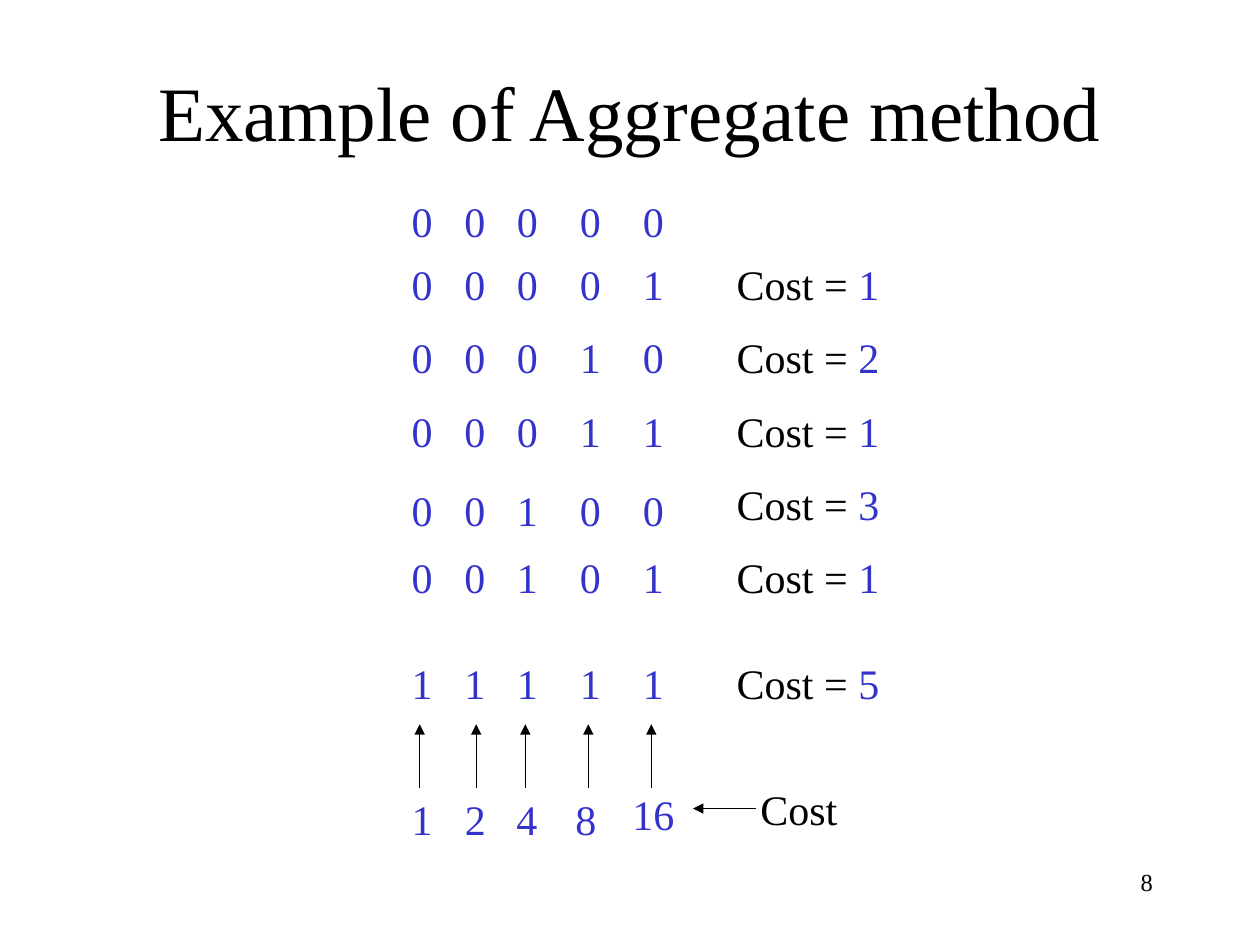
from lxml import etree
from pptx import Presentation
from pptx.dml.color import RGBColor
from pptx.enum.shapes import MSO_CONNECTOR
from pptx.enum.text import MSO_ANCHOR, MSO_AUTO_SIZE, PP_ALIGN
from pptx.oxml.ns import qn
from pptx.util import Cm, Pt

STRAIGHT = MSO_CONNECTOR.STRAIGHT
MIDDLE = MSO_ANCHOR.MIDDLE
FIT_SHAPE = MSO_AUTO_SIZE.SHAPE_TO_FIT_TEXT
LEFT, CENTER, RIGHT = PP_ALIGN.LEFT, PP_ALIGN.CENTER, PP_ALIGN.RIGHT

BLACK = RGBColor(0x00, 0x00, 0x00)
BLUE = RGBColor(0x33, 0x33, 0xCC)
FONT = "Times New Roman"

# Lengths in centimetres
LINE_HEIGHT = 1.27
BITS_LEFT = 8.05
BIT_TABS = (1.06, 2.12, 3.39, 4.66)
COST_LEFT = 14.6
FIRST_COUNT_TOP = 5.08
COUNT_STEP = 1.48
ARROW_TOP, ARROW_BOTTOM = 14.6, 15.88

# Bits, cost of the increment
COUNTS = (
    ("00001", "1"),
    ("00010", "2"),
    ("00011", "1"),
    ("00100", "3"),
    ("00101", "1"),
)

# Label, arrow position, label left, label top, label width
BIT_COSTS = (
    ("16", 13.13, 12.5, 15.77, 1.35),
    ("8", 11.86, 11.35, 15.88, 0.91),
    ("4", 10.59, 10.16, 15.88, 0.91),
    ("2", 9.6, 9.12, 15.88, 0.91),
    ("1", 8.46, 8.05, 15.88, 0.91),
)


def add_text(shapes, parts, left, top, width, height=LINE_HEIGHT,
             size=24, align=LEFT, wrap=False):
    """Add a one-line text box made of (text, colour) parts."""
    box = shapes.add_textbox(Cm(left), Cm(top), Cm(width), Cm(height))
    text_frame = box.text_frame
    text_frame.word_wrap = wrap
    if not wrap:
        text_frame.auto_size = FIT_SHAPE
    paragraph = text_frame.paragraphs[0]
    paragraph.alignment = align
    for text, color in parts:
        run = paragraph.add_run()
        run.text = text
        run.font.name = FONT
        run.font.size = Pt(size)
        run.font.color.rgb = color
    return text_frame


def add_bits(shapes, bits, top):
    """Add one counter value, its bits set apart by tab stops."""
    text_frame = add_text(shapes, [("\t".join(bits), BLUE)],
                          BITS_LEFT, top, 5.7, wrap=True)
    properties = text_frame.paragraphs[0]._p.get_or_add_pPr()
    tab_list = etree.SubElement(properties, qn("a:tabLst"))
    for position in BIT_TABS:
        etree.SubElement(tab_list, qn("a:tab"), pos=str(Cm(position)), algn="l")


def add_cost(shapes, cost, top):
    add_text(shapes, [("Cost = ", BLACK), (cost, BLUE)], COST_LEFT, top, 3.38)


def add_arrow(shapes, start, end):
    """Add a thin arrow with its head at the end point."""
    arrow = shapes.add_connector(STRAIGHT, *(Cm(value) for value in start + end))
    arrow.line.color.rgb = BLACK
    arrow.line.width = Pt(0.75)
    etree.SubElement(arrow.line._get_or_add_ln(), qn("a:tailEnd"), type="triangle")
    etree.SubElement(arrow._element.spPr, qn("a:effectLst"))


def main():
    presentation = Presentation()
    presentation.slide_width = Cm(25.4)
    presentation.slide_height = Cm(19.05)
    slide = presentation.slides.add_slide(presentation.slide_layouts[6])
    shapes = slide.shapes

    # Title
    title = add_text(shapes, [("Example of Aggregate method", BLACK)],
                     1.9, 0.64, 21.6, 3.18, size=44, align=CENTER, wrap=True)
    title.vertical_anchor = MIDDLE

    # Counter values and the cost of each increment
    add_bits(shapes, "00000", 3.81)
    for index, (bits, cost) in enumerate(COUNTS):
        top = FIRST_COUNT_TOP + index * COUNT_STEP
        add_bits(shapes, bits, top + 0.12 if bits == "00100" else top)
        add_cost(shapes, cost, top)
    add_bits(shapes, "11111", 13.12)
    add_cost(shapes, "5", 13.12)

    # Cost label with its arrow
    group = shapes.add_group_shape().shapes
    add_text(group, [("Cost", BLACK)], 15.08, 15.66, 2.06)
    add_arrow(group, (15.24, 16.3), (13.97, 16.3))

    # Cost below each bit
    for label, center, left, top, width in BIT_COSTS:
        group = shapes.add_group_shape().shapes
        add_arrow(group, (center, ARROW_BOTTOM), (center, ARROW_TOP))
        add_text(group, [(label, BLUE)], left, top, width)

    # Slide number
    add_text(shapes, [("8", BLACK)], 18.2, 17.36, 5.29,
             size=14, align=RIGHT, wrap=True)

    presentation.save("out.pptx")


if __name__ == "__main__":
    main()
